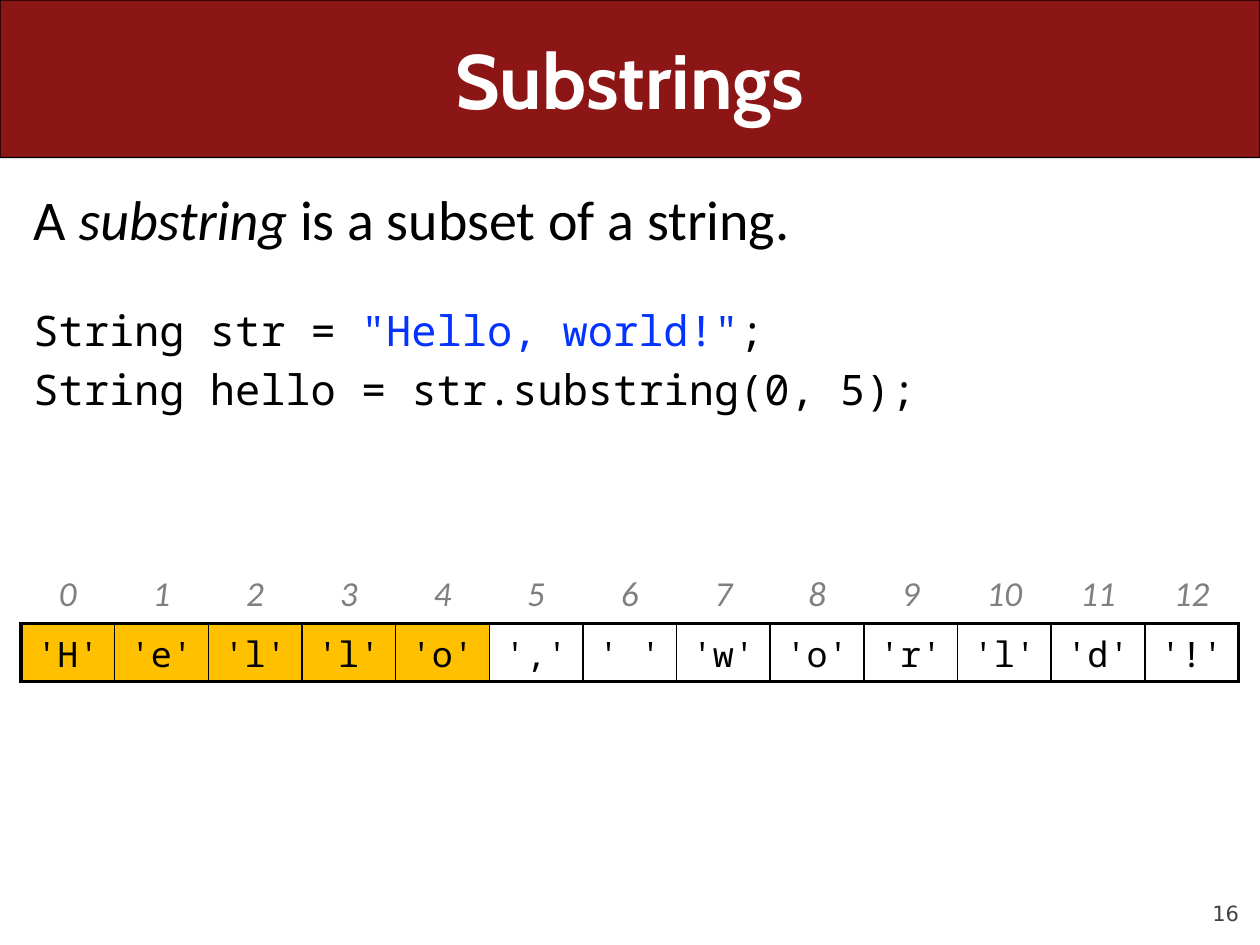
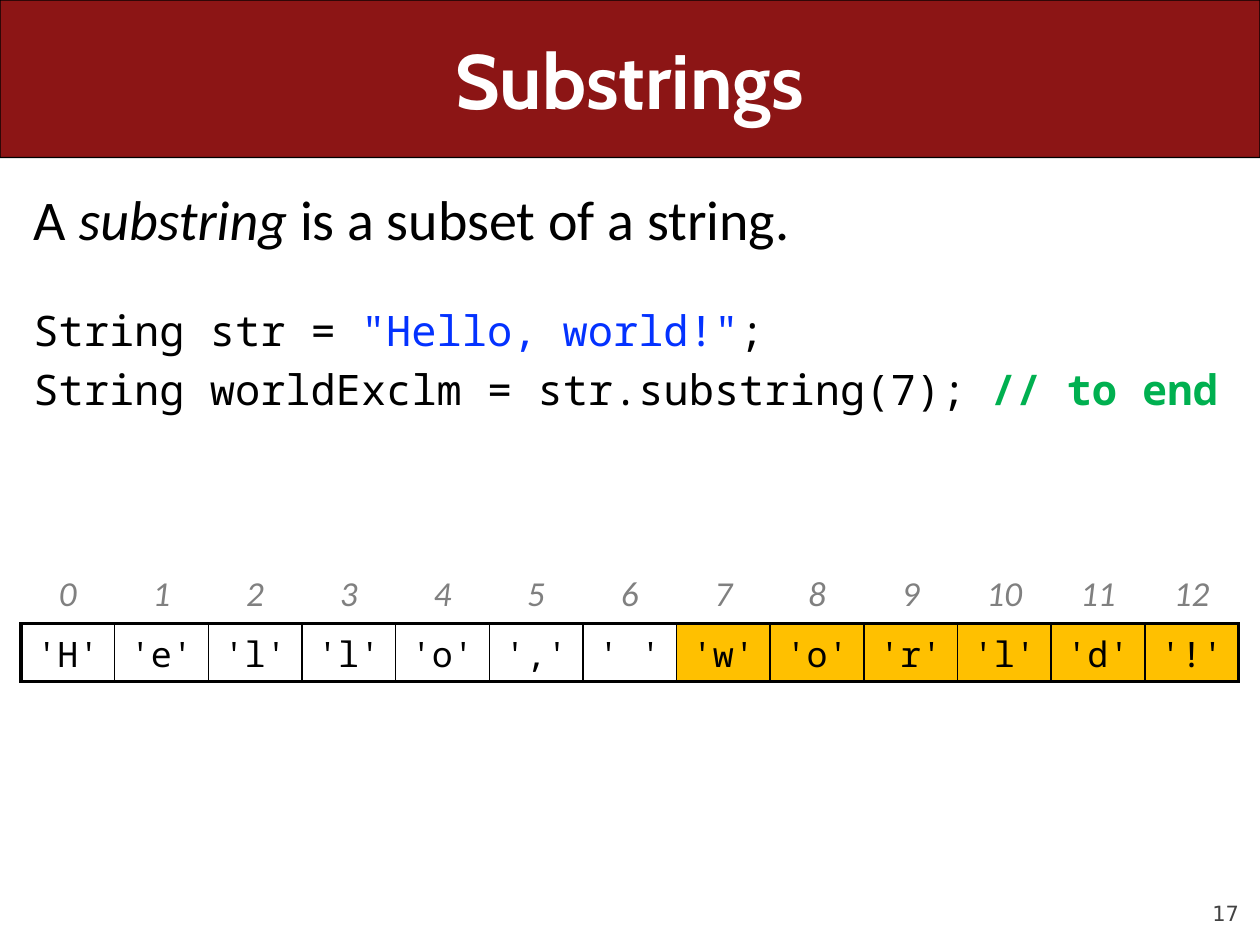
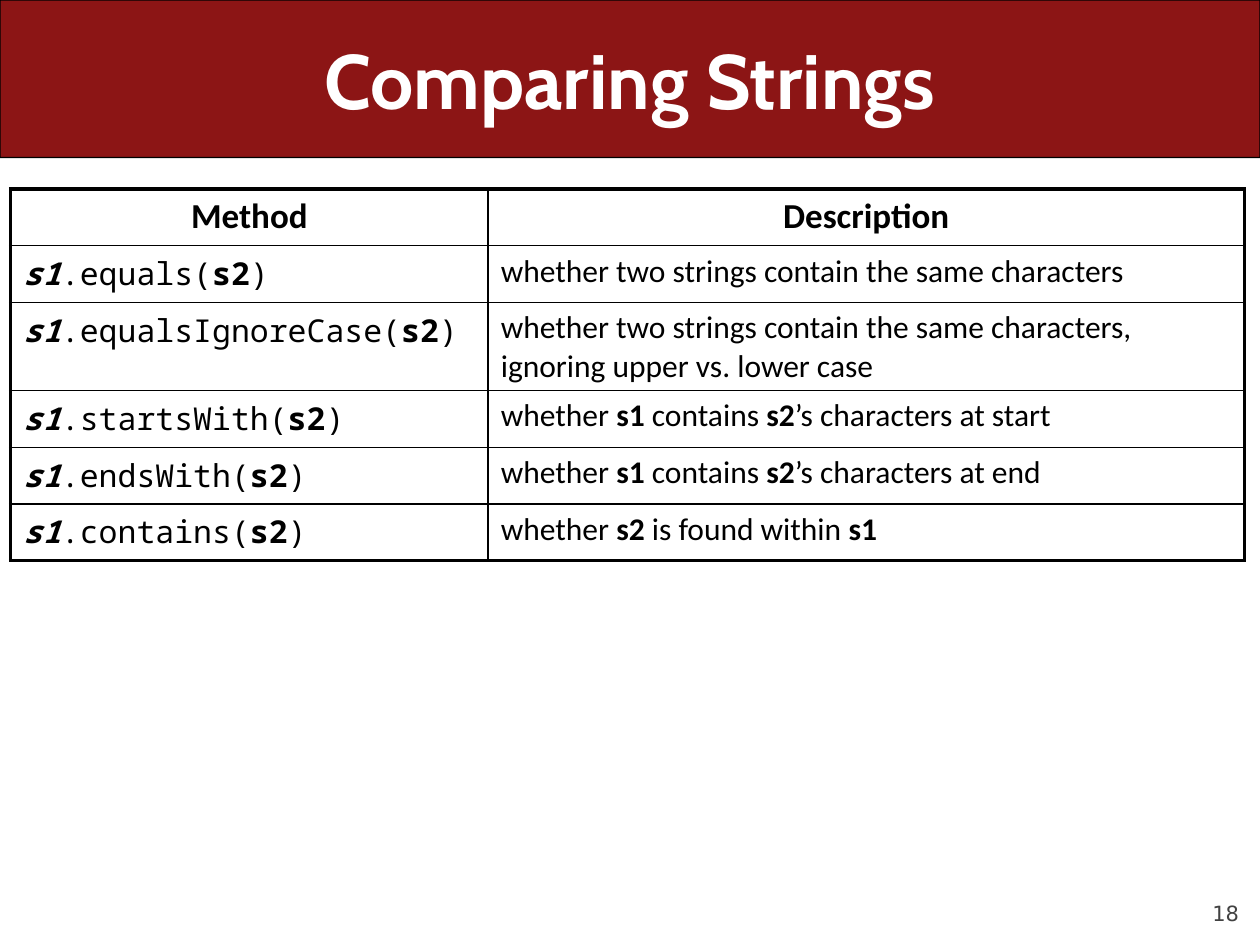
from dataclasses import dataclass, replace
from typing import NamedTuple

from lxml.etree import SubElement
from pptx import Presentation
from pptx.dml.color import RGBColor
from pptx.enum.shapes import MSO_SHAPE as Shape
from pptx.enum.text import MSO_ANCHOR as Anchor, PP_ALIGN as Align
from pptx.oxml.ns import qn
from pptx.slide import Slide
from pptx.table import Table, _Cell as Cell
from pptx.text.text import TextFrame, _Paragraph as Paragraph
from pptx.util import Inches, Pt

COLUMNS, ROWS = 60, 45
SLIDE_WIDTH, SLIDE_HEIGHT = Inches(10), Inches(7.5)

BLACK, WHITE, CARDINAL = "000000", "FFFFFF", "8C1515"
GOLD, GREY, CHARCOAL = "FFC000", "808080", "424242"
LITERAL_BLUE, COMMENT_GREEN = "0432FF", "00B050"
OUTER_RULE, INNER_RULE = 2.25, 1


@dataclass(frozen=True)
class Style:
    size: float
    font: str = "Calibri"
    color: str = BLACK
    bold: bool = False
    italic: bool = False


class Span(NamedTuple):
    text: str
    style: Style


class Box(NamedTuple):
    """A place on the slide, in grid columns and rows."""
    left: float
    top: float
    width: float
    height: float


class SubstringExample(NamedTuple):
    number: int
    call: list[Span]
    taken: range


class Method(NamedTuple):
    name: str
    description: list[Span]


TITLE = Style(44, "Cabin", WHITE, bold=True)
PAGE_NUMBER = Style(12, "DejaVu Sans", CHARCOAL)
LEAD = Style(32)
CODE = Style(24, "Noto Sans Mono")
INDEX = Style(20, color=GREY, italic=True)
LETTER = Style(20, "Noto Sans Mono")
HEADING = Style(20, bold=True)
PROSE = Style(18)
TERM = replace(PROSE, bold=True)
METHOD = Style(18, "Noto Sans Mono")
ARGUMENT = replace(METHOD, bold=True)
RECEIVER = replace(ARGUMENT, italic=True)

BAND = Box(0, 0, 60, 7.5)
TITLE_BOX = Box(3, 0, 54, 7.5)
NUMBER_BOX = Box(54, 41.7, 5, 2.4)
BODY = Box(1, 8.5, 58, 34)
LETTERS_BOX = Box(1, 27, 58, 5.46)
METHODS_BOX = Box(0.5, 9, 58.75, 16.2)

GREETING = "Hello, world!"

EXAMPLES = [
    SubstringExample(16, [Span("String hello = str.substring(0, 5);", CODE)], range(5)),
    SubstringExample(17, [
        Span("String worldExclm = str.substring(7); ", CODE),
        Span("// to end", replace(CODE, color=COMMENT_GREEN, bold=True)),
    ], range(7, len(GREETING))),
]


def contains_at(place: str) -> list[Span]:
    return [Span("whether ", PROSE), Span("s1", TERM), Span(" contains ", PROSE),
            Span("s2", TERM), Span(f"’s characters at {place}", PROSE)]


METHODS = [
    Method("equals", [Span("whether two strings contain the same characters", PROSE)]),
    Method("equalsIgnoreCase", [Span("whether two strings contain the same characters, "
                                     "ignoring upper vs. lower case", PROSE)]),
    Method("startsWith", contains_at("start")),
    Method("endsWith", contains_at("end")),
    Method("contains", [Span("whether ", PROSE), Span("s2", TERM),
                        Span(" is found within ", PROSE), Span("s1", TERM)]),
]


def rgb(color: str) -> RGBColor:
    return RGBColor.from_string(color)


def across(columns: float) -> int:
    return round(SLIDE_WIDTH * columns / COLUMNS)


def down(rows: float) -> int:
    return round(SLIDE_HEIGHT * rows / ROWS)


def place(box: Box) -> tuple[int, int, int, int]:
    return across(box.left), down(box.top), across(box.width), down(box.height)


def write(paragraph: Paragraph, spans: list[Span], align: Align = Align.LEFT) -> None:
    paragraph.alignment = align
    for span in spans:
        run = paragraph.add_run()
        run.text = span.text
        font, style = run.font, span.style
        font.name, font.size = style.font, Pt(style.size)
        font.bold, font.italic = style.bold, style.italic
        font.color.rgb = rgb(style.color)


def space_by_share(paragraph: Paragraph) -> None:
    """Put a fifth of a line before the paragraph."""
    before = SubElement(paragraph._p.get_or_add_pPr(), qn("a:spcBef"))
    SubElement(before, qn("a:spcPct"), val="20000")


def add_text_frame(slide: Slide, box: Box, anchor: Anchor = Anchor.TOP) -> TextFrame:
    frame = slide.shapes.add_textbox(*place(box)).text_frame
    frame.word_wrap = True
    frame.vertical_anchor = anchor
    return frame


def add_titled_slide(deck: Presentation, title: str, number: int) -> Slide:
    slide = deck.slides.add_slide(deck.slide_layouts[6])
    page = add_text_frame(slide, NUMBER_BOX, Anchor.BOTTOM)
    page.margin_left = page.margin_right = page.margin_top = page.margin_bottom = 0
    write(page.paragraphs[0], [Span(str(number), PAGE_NUMBER)], Align.RIGHT)

    band = slide.shapes.add_shape(Shape.ROUNDED_RECTANGLE, *place(BAND))
    band.adjustments[0] = 0.001
    band.shadow.inherit = False
    band.fill.solid()
    band.fill.fore_color.rgb = rgb(CARDINAL)
    band.line.color.rgb = rgb(BLACK)
    band.line.width = Pt(0.75)

    heading = add_text_frame(slide, TITLE_BOX, Anchor.MIDDLE)
    write(heading.paragraphs[0], [Span(title, TITLE)], Align.CENTER)
    return slide


def add_plain_table(slide: Slide, box: Box, heights: list[float], widths: list[float]) -> Table:
    table = slide.shapes.add_table(len(heights), len(widths), *place(box)).table
    table.first_row = table.horz_banding = False
    for row, height in zip(table.rows, heights):
        row.height = down(height)
    for column, width in zip(table.columns, widths):
        column.width = across(width)
    return table


def rule_cell(cell: Cell, widths: dict[str, float]) -> None:
    """Rule the sides of a cell; a width of 0 leaves a side open."""
    properties = cell._tc.get_or_add_tcPr()
    for side, width in widths.items():
        line = SubElement(properties, qn(f"a:ln{side}"), w=str(Pt(width)))
        if width:
            SubElement(SubElement(line, qn("a:solidFill")), qn("a:srgbClr"), val=BLACK)
        else:
            SubElement(line, qn("a:noFill"))


def frame_table(table: Table, first_framed: int = 0) -> None:
    """Draw a thick frame with thin inner rules, starting at a given row."""
    last_row, last_column = len(table.rows) - 1, len(table.columns) - 1
    for r in range(last_row + 1):
        for c in range(last_column + 1):
            cell = table.cell(r, c)
            if r < first_framed:
                rule_cell(cell, {"L": 0, "R": 0, "T": 0,
                                 "B": OUTER_RULE if r == first_framed - 1 else 0})
            else:
                on_frame = {"L": c == 0, "R": c == last_column,
                            "T": r == first_framed, "B": r == last_row}
                rule_cell(cell, {side: OUTER_RULE if outer else INNER_RULE
                                 for side, outer in on_frame.items()})
            cell.fill.background()


def fill_cell(cell: Cell, spans: list[Span], align: Align = Align.LEFT) -> None:
    paragraph = cell.text_frame.paragraphs[0]
    write(paragraph, spans, align)
    space_by_share(paragraph)


def add_substring_slide(deck: Presentation, example: SubstringExample) -> None:
    slide = add_titled_slide(deck, "Substrings", example.number)
    body = add_text_frame(slide, BODY)
    definition, declaration, call = body.paragraphs[0], body.add_paragraph(), body.add_paragraph()
    write(definition, [Span("A ", LEAD), Span("substring", replace(LEAD, italic=True)),
                       Span(" is a subset of a string.", LEAD)])
    write(declaration, [Span("String str = ", CODE),
                        Span(f'"{GREETING}"', replace(CODE, color=LITERAL_BLUE)),
                        Span(";", CODE)])
    write(call, example.call)
    space_by_share(definition)
    declaration.space_before = Pt(30)
    space_by_share(call)

    count = len(GREETING)
    letters = add_plain_table(slide, LETTERS_BOX, [2.7, 2.76], [LETTERS_BOX.width / count] * count)
    frame_table(letters, first_framed=1)
    for index, letter in enumerate(GREETING):
        fill_cell(letters.cell(0, index), [Span(str(index), INDEX)], Align.CENTER)
        letter_cell = letters.cell(1, index)
        fill_cell(letter_cell, [Span(f"'{letter}'", LETTER)], Align.CENTER)
        if index in example.taken:
            letter_cell.fill.solid()
            letter_cell.fill.fore_color.rgb = rgb(GOLD)


def add_comparing_slide(deck: Presentation) -> None:
    slide = add_titled_slide(deck, "Comparing Strings", 18)
    table = add_plain_table(slide, METHODS_BOX, [2.7] * (len(METHODS) + 1), [22.75, 36])
    frame_table(table)
    for column, heading in enumerate(("Method", "Description")):
        fill_cell(table.cell(0, column), [Span(heading, HEADING)], Align.CENTER)
    for row, method in enumerate(METHODS, start=1):
        fill_cell(table.cell(row, 0), [Span("s1", RECEIVER), Span(f".{method.name}(", METHOD),
                                       Span("s2", ARGUMENT), Span(")", METHOD)])
        fill_cell(table.cell(row, 1), method.description)


def main() -> None:
    deck = Presentation()
    deck.slide_width, deck.slide_height = SLIDE_WIDTH, SLIDE_HEIGHT
    for example in EXAMPLES:
        add_substring_slide(deck, example)
    add_comparing_slide(deck)
    deck.save("out.pptx")


if __name__ == "__main__":
    main()
